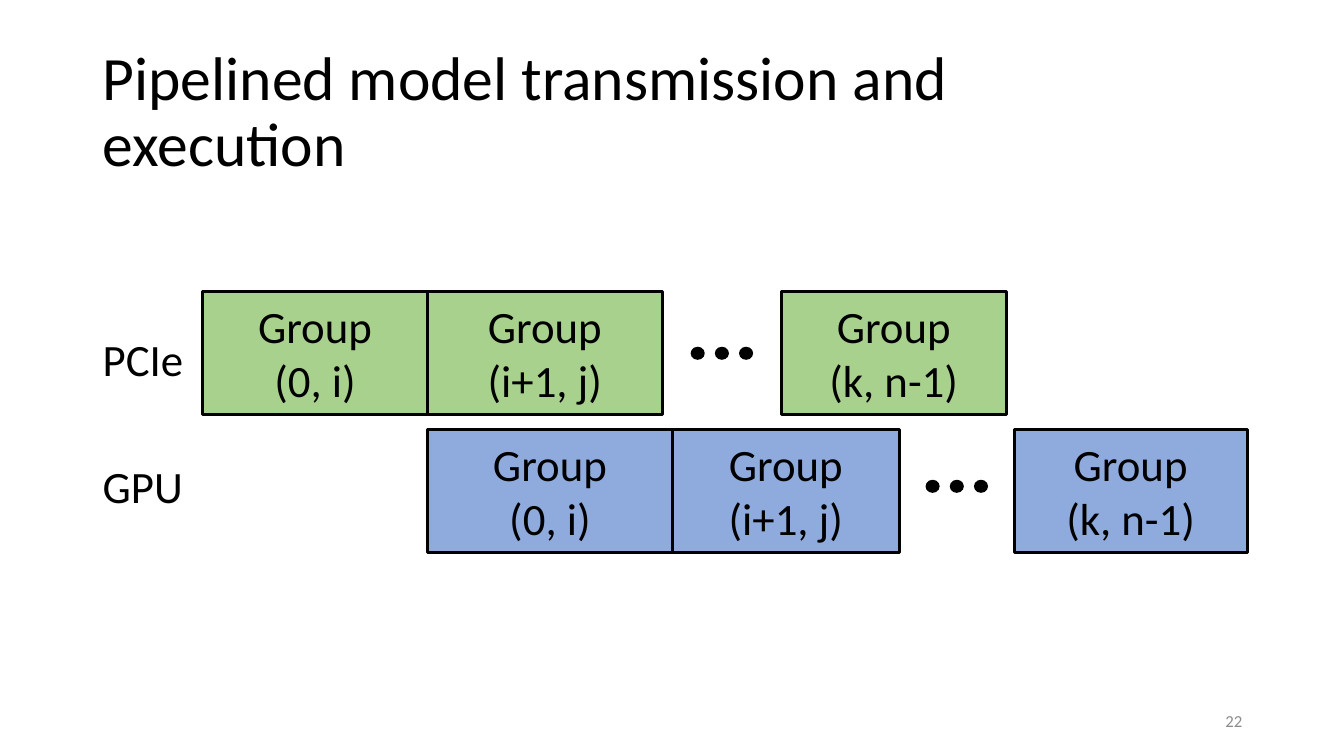
import pptx
import pptx.util
import pptx.dml.color
import pptx.enum.shapes
import pptx.enum.text

Inches = pptx.util.Inches
Pt = pptx.util.Pt
Shape = pptx.enum.shapes.MSO_SHAPE
Align = pptx.enum.text.PP_ALIGN
Anchor = pptx.enum.text.MSO_ANCHOR

COLORS = {
    "ink": "000000",
    "page": "8C8C8C",
    "green": "A9D18E",
    "blue": "8FAADC",
}


class Deck:
    """Holds the style and the current slide."""

    font = "Calibri"
    body = 32
    edge = 2.25

    def __init__(self):
        self.prs = pptx.Presentation()
        self.prs.slide_width = Inches(13.33)
        self.prs.slide_height = Inches(7.5)
        self.slide = self.prs.slides.add_slide(self.prs.slide_layouts[6])

    def color(self, name):
        return pptx.dml.color.RGBColor.from_string(COLORS[name])

    def fill_text(self, frame, lines, size, color="ink", align=Align.LEFT, space=1.0):
        for i, line in enumerate(lines):
            para = frame.paragraphs[0] if i == 0 else frame.add_paragraph()
            para.alignment = align
            para.line_spacing = space
            run = para.add_run()
            run.text = line
            run.font.name = self.font
            run.font.size = Pt(size)
            run.font.color.rgb = self.color(color)

    def text(self, area, line, size, wrap=True, anchor=Anchor.MIDDLE, **style):
        box = self.slide.shapes.add_textbox(*map(Inches, area))
        frame = box.text_frame
        frame.word_wrap = wrap
        frame.vertical_anchor = anchor
        self.fill_text(frame, [line], size, **style)

    def label(self, top, line):
        self.text((0.92, top, 1, 0.64), line, self.body, wrap=False, anchor=Anchor.TOP)

    def block(self, left, top, width, fill, span):
        """Draws one group of layers, with its span below the word Group."""
        area = map(Inches, (left, top, width, 1.22))
        box = self.slide.shapes.add_shape(Shape.RECTANGLE, *area)
        box.shadow.inherit = False
        box.fill.solid()
        box.fill.fore_color.rgb = self.color(fill)
        box.line.color.rgb = self.color("ink")
        box.line.width = Pt(self.edge)
        box.text_frame.word_wrap = True
        box.text_frame.vertical_anchor = Anchor.MIDDLE
        self.fill_text(box.text_frame, ["Group", span], self.body, align=Align.CENTER)

    def dots(self, left, top):
        """Draws three grouped dots for the blocks left out."""
        group = self.slide.shapes.add_group_shape()
        for i in range(3):
            area = map(Inches, (left + i * 0.24, top, 0.14, 0.13))
            dot = group.shapes.add_shape(Shape.OVAL, *area)
            dot.shadow.inherit = False
            dot.fill.solid()
            dot.fill.fore_color.rgb = self.color("ink")
            dot.line.fill.background()


SPANS = ["(0, i)", "(i+1, j)", "(k, n-1)"]

# label, label top, fill, block top, (left, width) of blocks, left and top of dots
LANES = [
    ("PCIe", 3.24, "green", 2.89, [(2.01, 2.23), (4.24, 2.33), (7.75, 2.23)], (6.85, 3.44)),
    ("GPU", 4.5, "blue", 4.26, [(4.24, 2.43), (6.67, 2.25), (10.06, 2.31)], (9.18, 4.76)),
]


def main():
    deck = Deck()
    deck.text((0.92, 0.4, 10.55, 1.45), "Pipelined model transmission and execution", 44, space=0.9)
    deck.text((9.42, 6.95, 3, 0.4), "22", 12, color="page", align=Align.RIGHT)
    for name, base, fill, top, blocks, gap in LANES:
        deck.label(base, name)
        for (left, width), span in zip(blocks, SPANS):
            deck.block(left, top, width, fill, span)
        deck.dots(*gap)
    deck.prs.save("out.pptx")


if __name__ == "__main__":
    main()
